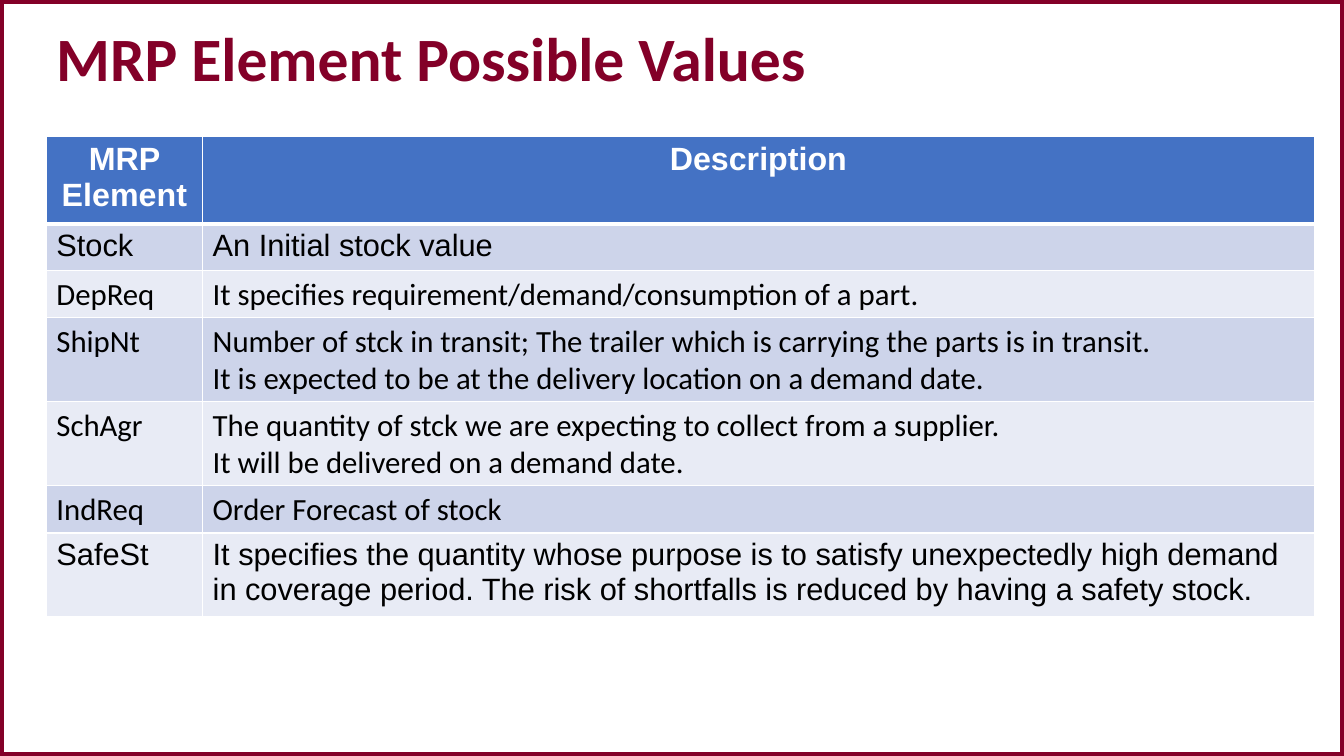
from dataclasses import dataclass

from lxml import etree
from pptx import Presentation
from pptx.dml.color import RGBColor
from pptx.enum.shapes import MSO_SHAPE
from pptx.enum.text import MSO_ANCHOR, PP_ALIGN
from pptx.oxml.ns import qn
from pptx.util import Pt

RECTANGLE = MSO_SHAPE.RECTANGLE
MIDDLE = MSO_ANCHOR.MIDDLE
LEFT, CENTER = PP_ALIGN.LEFT, PP_ALIGN.CENTER


@dataclass(frozen=True)
class Theme:
    maroon: str = "830028"
    white: str = "FFFFFF"
    black: str = "000000"
    header: str = "4472C4"
    bands: tuple = ("CDD4EA", "E8EBF5")
    heading_font: str = "Calibri"
    table_font: str = "Arial"
    title_size: int = 44
    header_size: int = 23
    body_size: int = 22
    frame_line: int = 6
    cell_line: int = 1
    header_line: int = 3


THEME = Theme()
SLIDE_BOX = (0, 0, 960, 540)
TITLE_BOX = (33.1, 10.8, 895, 67)
TABLE_BOX = (33.1, 97.4, 905.8, 206.6)
ELEMENT_WIDTH = 111.6

HEADINGS = ("MRP Element", "Description")
# Element, description, font
ELEMENTS = (
    ("Stock", "An Initial stock value", THEME.table_font),
    ("DepReq", "It specifies requirement/demand/consumption of a part.",
     THEME.heading_font),
    ("ShipNt", "Number of stck in transit; The trailer which is carrying the "
     "parts is in transit.\nIt is expected to be at the delivery location on a "
     "demand date.", THEME.heading_font),
    ("SchAgr", "The quantity of stck we are expecting to collect from a "
     "supplier.\nIt will be delivered on a demand date.", THEME.heading_font),
    ("IndReq", "Order Forecast of stock", THEME.heading_font),
    ("SafeSt", "It specifies the quantity whose purpose is to satisfy "
     "unexpectedly high demand in coverage period. The risk of shortfalls is "
     "reduced by having a safety stock.", THEME.table_font),
)


def color(value):
    return RGBColor.from_string(value)


def write_text(frame, text, style, align=LEFT):
    """Put one paragraph per line of text, with the font values in style."""
    frame.text = text
    for para in frame.paragraphs:
        para.alignment = align
        for span in para.runs:
            span.font.color.rgb = color(style["color"])
            for name in ("name", "size", "bold"):
                setattr(span.font, name, style[name])


def add_frame(page, box):
    frame = page.shapes.add_shape(RECTANGLE, *map(Pt, box))
    frame.shadow.inherit = False
    frame.fill.background()
    frame.line.color.rgb = color(THEME.maroon)
    frame.line.width = Pt(THEME.frame_line)


def add_title(page, box, text):
    frame = page.shapes.add_textbox(*map(Pt, box)).text_frame
    frame.word_wrap = True
    frame.vertical_anchor = MIDDLE
    write_text(frame, text, {
        "name": THEME.heading_font, "size": Pt(THEME.title_size),
        "bold": True, "color": THEME.maroon})
    frame.paragraphs[0].line_spacing = 0.9


def set_borders(cell, top, bottom):
    """Draw white cell edges; top and bottom are widths in points."""
    widths = {"a:lnL": THEME.cell_line, "a:lnR": THEME.cell_line,
              "a:lnT": top, "a:lnB": bottom}
    properties = cell._tc.get_or_add_tcPr()
    for position, (tag, width) in enumerate(widths.items()):
        edge = etree.Element(qn(tag), w=str(Pt(width)))
        fill = etree.SubElement(edge, qn("a:solidFill"))
        etree.SubElement(fill, qn("a:srgbClr"), val=THEME.white)
        properties.insert(position, edge)


def fill_row(row, texts, style, fill, align, top, bottom):
    for cell, text in zip(row.cells, texts):
        cell.fill.solid()
        cell.fill.fore_color.rgb = color(fill)
        write_text(cell.text_frame, text, style, align)
        set_borders(cell, top, bottom)


def add_element_table(page, box):
    table = page.shapes.add_table(
        len(ELEMENTS) + 1, len(HEADINGS), *map(Pt, box)).table
    widths = (ELEMENT_WIDTH, box[2] - ELEMENT_WIDTH)
    for column, width in zip(table.columns, widths):
        column.width = Pt(width)

    thin, thick = THEME.cell_line, THEME.header_line
    header_style = {"name": THEME.table_font, "size": Pt(THEME.header_size),
                    "bold": True, "color": THEME.white}
    fill_row(table.rows[0], HEADINGS, header_style, THEME.header, CENTER,
             thin, thick)
    for index, (element, description, font) in enumerate(ELEMENTS):
        style = {"name": font, "size": Pt(THEME.body_size),
                 "bold": False, "color": THEME.black}
        fill = THEME.bands[index % len(THEME.bands)]
        fill_row(table.rows[index + 1], (element, description), style, fill,
                 LEFT, thin if index else thick, thin)


def main():
    deck = Presentation()
    deck.slide_width, deck.slide_height = map(Pt, SLIDE_BOX[2:])
    page = deck.slides.add_slide(deck.slide_layouts[6])
    page.background.fill.solid()
    page.background.fill.fore_color.rgb = color(THEME.white)
    add_frame(page, SLIDE_BOX)
    add_title(page, TITLE_BOX, "MRP Element Possible Values")
    add_element_table(page, TABLE_BOX)
    deck.save("out.pptx")


if __name__ == "__main__":
    main()
